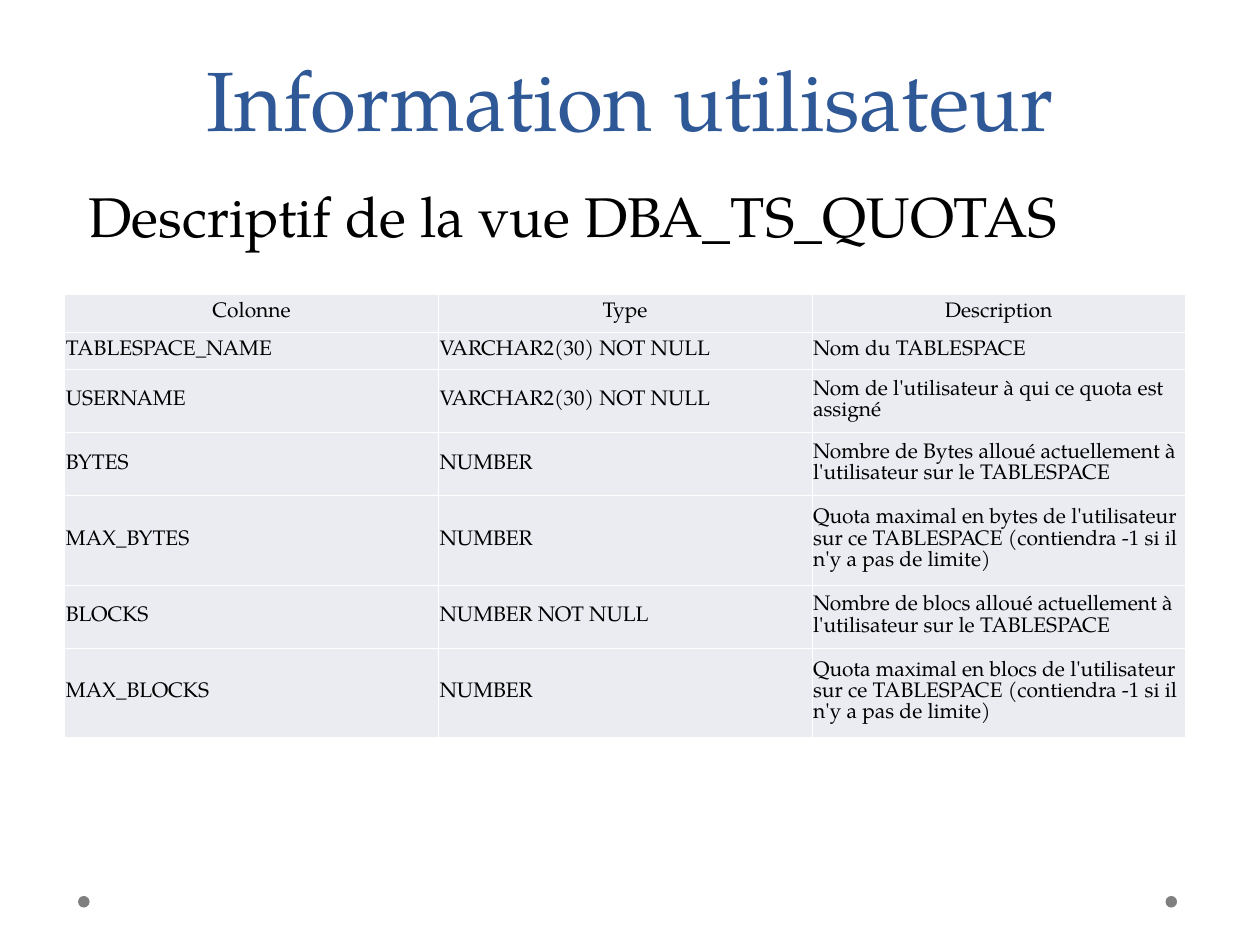
from pptx import Presentation
from pptx.dml.color import RGBColor
from pptx.enum.shapes import MSO_SHAPE
from pptx.enum.text import MSO_ANCHOR, MSO_AUTO_SIZE, PP_ALIGN
from pptx.oxml import parse_xml
from pptx.oxml.ns import nsdecls
from pptx.util import Pt

FONT = "TeX Gyre Pagella"
ROWS = [
    ("Colonne", "Type", "Description"),
    ("TABLESPACE_NAME", "VARCHAR2(30) NOT NULL", "Nom du TABLESPACE"),
    ("USERNAME", "VARCHAR2(30) NOT NULL",
     "Nom de l'utilisateur à qui ce quota est assigné"),
    ("BYTES", "NUMBER",
     "Nombre de Bytes alloué actuellement à l'utilisateur sur le TABLESPACE"),
    ("MAX_BYTES", "NUMBER",
     "Quota maximal en bytes de l'utilisateur sur ce TABLESPACE "
     "(contiendra -1 si il n'y a pas de limite)"),
    ("BLOCKS", "NUMBER NOT NULL",
     "Nombre de blocs alloué actuellement à l'utilisateur sur le TABLESPACE"),
    ("MAX_BLOCKS", "NUMBER",
     "Quota maximal en blocs de l'utilisateur sur ce TABLESPACE "
     "(contiendra -1 si il n'y a pas de limite)"),
]
LINES_PER_ROW = [1, 1, 2, 2, 3, 2, 3]
HEIGHT_BY_LINES = {1: 18, 2: 34.6, 3: 51.1}


def color(code):
    return RGBColor.from_string(code)


def set_all(target, values):
    for name, value in values.items():
        setattr(target, name, value)


def write(frame, text, size, code, **paragraph_format):
    para = frame.paragraphs[0]
    set_all(para, paragraph_format)
    span = para.add_run()
    span.text = text
    set_all(span.font, {"name": FONT, "size": Pt(size)})
    span.font.color.rgb = color(code)


def add_dot(page, left):
    dot = page.shapes.add_shape(MSO_SHAPE.OVAL, Pt(left), Pt(512), Pt(6.6), Pt(6.6))
    dot.shadow.inherit = False
    dot.fill.solid()
    dot.fill.fore_color.rgb = color("7F7F7F")
    dot.line.fill.background()


def add_title(page, text):
    box = page.shapes.title
    set_all(box, {"left": Pt(36), "top": Pt(0), "width": Pt(648), "height": Pt(88.5)})
    set_all(box.text_frame, {"vertical_anchor": MSO_ANCHOR.BOTTOM,
                             "auto_size": MSO_AUTO_SIZE.NONE})
    write(box.text_frame, text, 48, "2F5897",
          alignment=PP_ALIGN.CENTER, line_spacing=Pt(58))


def add_subtitle(page, text):
    box = page.shapes.add_textbox(Pt(43.5), Pt(100), Pt(573), Pt(46))
    set_all(box.text_frame, {"word_wrap": False,
                             "auto_size": MSO_AUTO_SIZE.SHAPE_TO_FIT_TEXT})
    write(box.text_frame, text, 32, "000000", alignment=PP_ALIGN.LEFT)


def format_cell(cell, text, alignment):
    set_all(cell, {"vertical_anchor": MSO_ANCHOR.MIDDLE,
                   "margin_left": Pt(0.7), "margin_right": Pt(0.7),
                   "margin_top": Pt(3.6), "margin_bottom": Pt(3.6)})
    write(cell.text_frame, text, 12, "000000", alignment=alignment)
    # Borders come before the fill in the cell properties
    properties = cell._tc.get_or_add_tcPr()
    for side in ("lnL", "lnR", "lnT", "lnB"):
        properties.append(parse_xml(
            f'<a:{side} {nsdecls("a")} w="{int(Pt(0.45))}"><a:solidFill>'
            f'<a:srgbClr val="FFFFFF"/></a:solidFill></a:{side}>'))
    cell.fill.solid()
    cell.fill.fore_color.rgb = color("EAECF2")


def add_column_table(page, rows):
    heights = [HEIGHT_BY_LINES[lines] for lines in LINES_PER_ROW]
    table = page.shapes.add_table(len(rows), len(rows[0]), Pt(37), Pt(168),
                                  Pt(640.5), Pt(sum(heights))).table
    for column in table.columns:
        column.width = Pt(213.5)
    for index, (values, height) in enumerate(zip(rows, heights)):
        table.rows[index].height = Pt(height)
        alignment = PP_ALIGN.LEFT if index else PP_ALIGN.CENTER
        for cell, text in zip(table.rows[index].cells, values):
            format_cell(cell, text, alignment)


def main():
    deck = Presentation()
    set_all(deck, {"slide_width": Pt(720), "slide_height": Pt(540)})
    page = deck.slides.add_slide(deck.slide_layouts[5])

    # Footer dots
    for left in (666, 44.6):
        add_dot(page, left)

    # Headings and table
    add_title(page, "Information utilisateur")
    add_subtitle(page, "Descriptif de la vue DBA_TS_QUOTAS")
    add_column_table(page, ROWS)

    deck.save("out.pptx")


if __name__ == "__main__":
    main()
